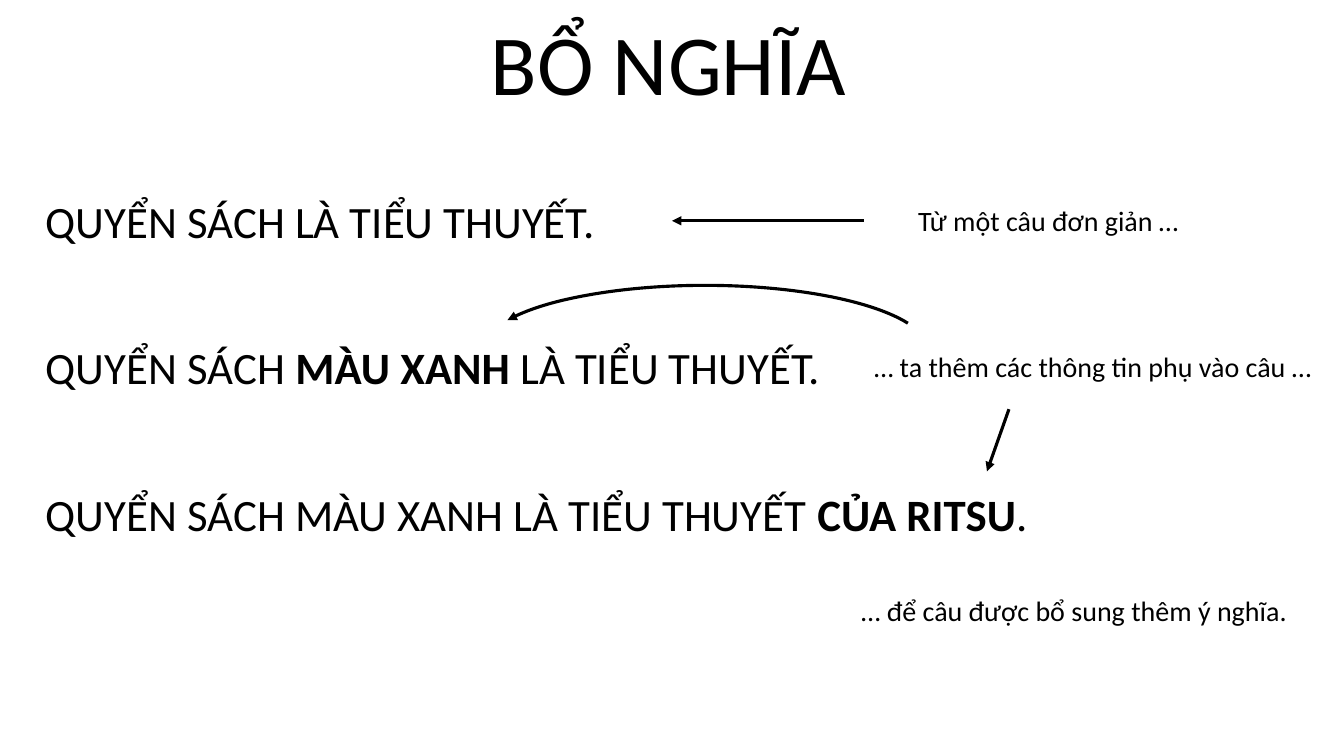
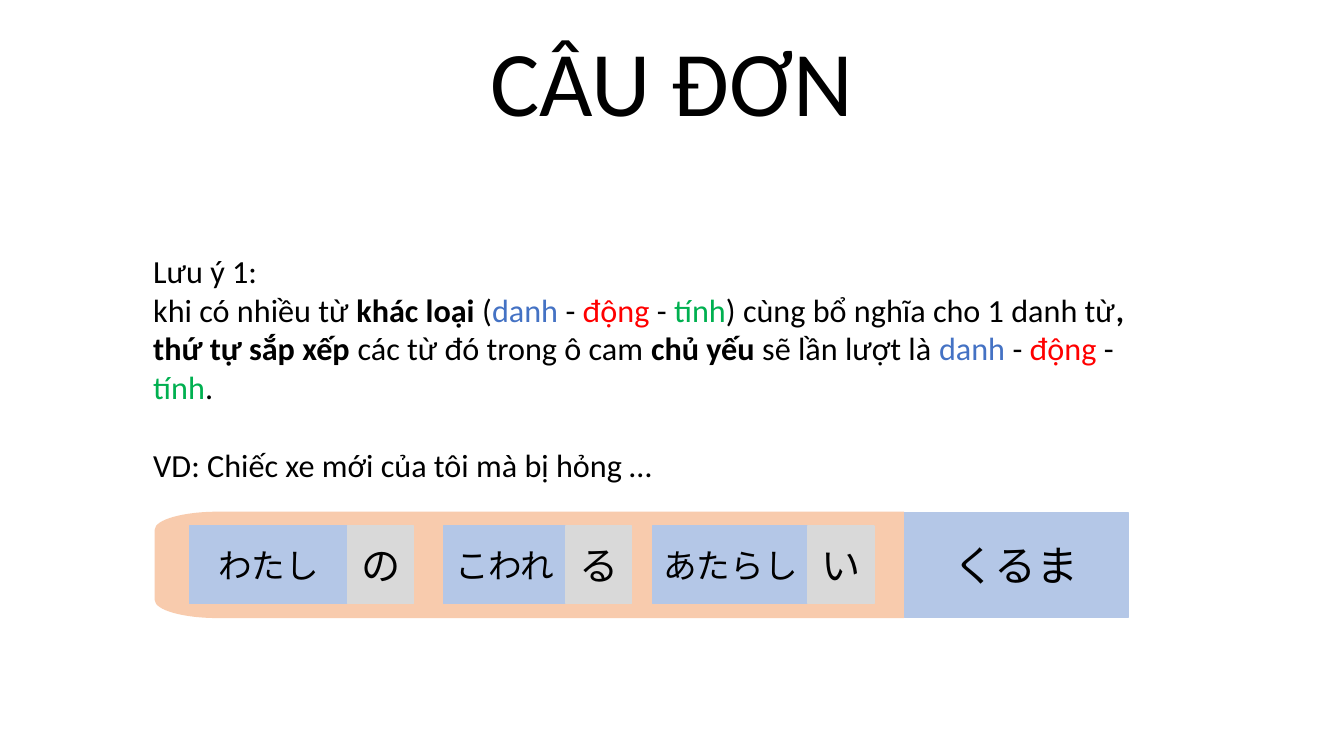
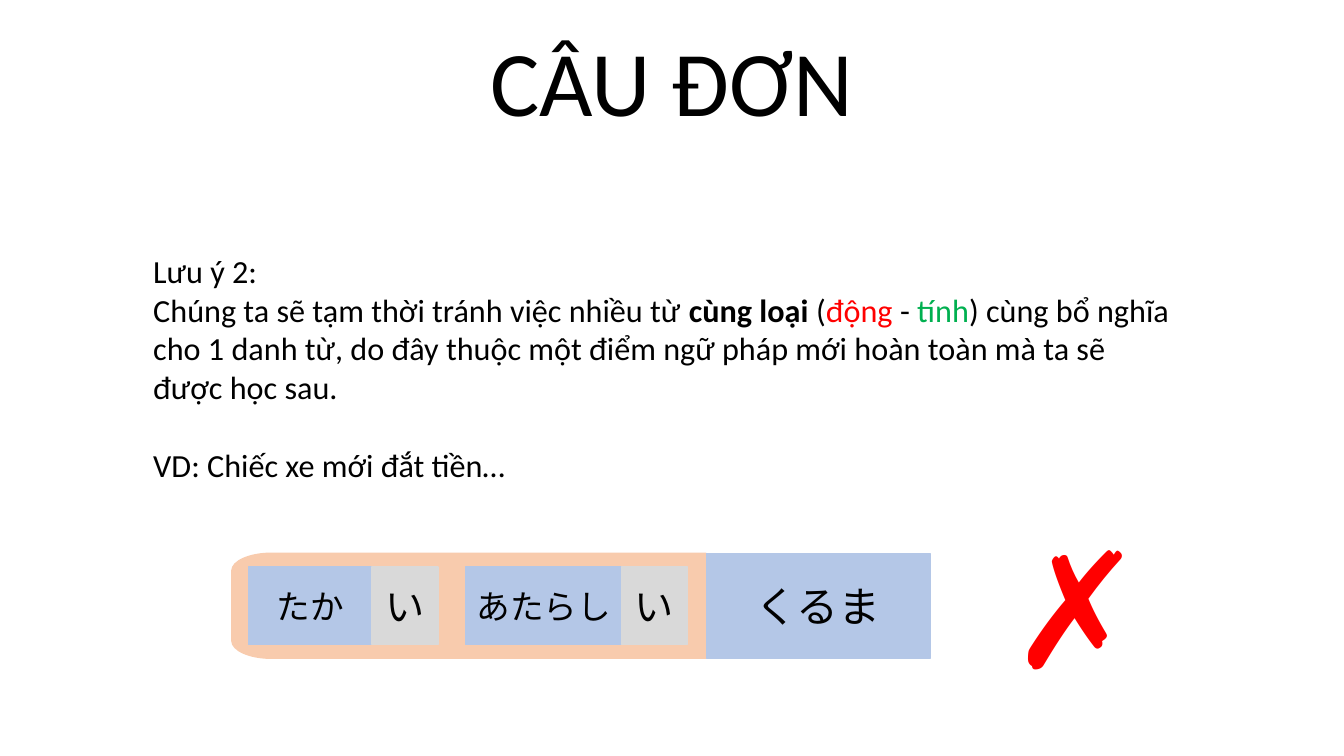
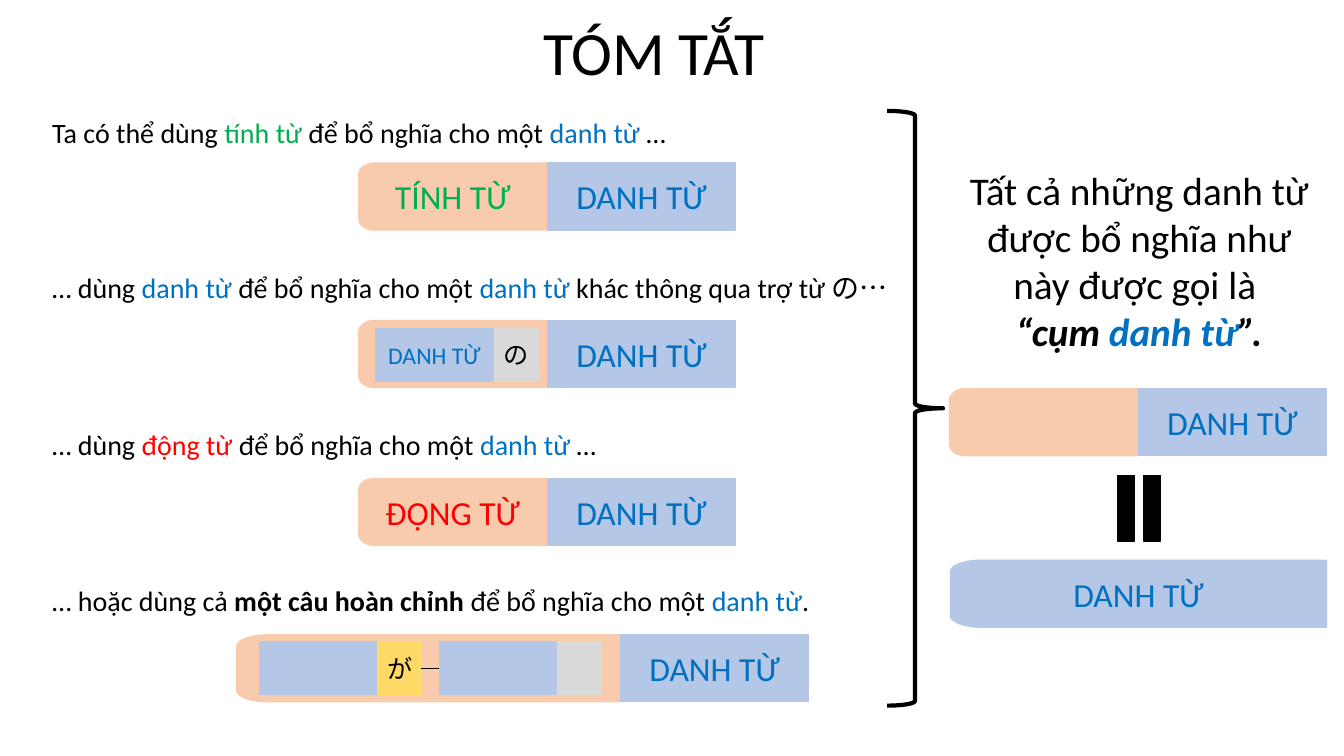
from lxml import etree
from pptx import Presentation
from pptx.dml.color import RGBColor
from pptx.enum.shapes import MSO_CONNECTOR, MSO_SHAPE
from pptx.enum.text import MSO_ANCHOR, PP_ALIGN
from pptx.oxml.ns import qn
from pptx.util import Pt

LEFT, CENTER = PP_ALIGN.LEFT, PP_ALIGN.CENTER
TOP, MIDDLE, BOTTOM = MSO_ANCHOR.TOP, MSO_ANCHOR.MIDDLE, MSO_ANCHOR.BOTTOM
RECT, ARC = MSO_SHAPE.RECTANGLE, MSO_SHAPE.ARC
BRACE, EQUAL = MSO_SHAPE.LEFT_BRACE, MSO_SHAPE.MATH_EQUAL
STRAIGHT = MSO_CONNECTOR.STRAIGHT
FONT = "Calibri"
FINE = 100  # outline units per point
BEND = 0.55  # pull of a curve towards its corner

COLORS = {
    "black": "000000", "noun": "0070C0", "blue": "4472C4", "verb": "FF0000",
    "adj": "00B050", "band": "F8CBAD", "stem": "B4C7E7", "end": "D9D9D9",
    "mark": "FFD966",
}

# Text is a list of paragraphs; a paragraph is a list of (words, style) runs.
# A style holds a colour name and, if wanted, "bold" or "italic".

# Slide 1
LINES = [
    [("QUYỂN SÁCH LÀ TIỂU THUYẾT.", "")],
    [("QUYỂN SÁCH ", ""), ("MÀU XANH ", "bold"), ("LÀ TIỂU THUYẾT.", "")],
    [("QUYỂN SÁCH MÀU XANH LÀ TIỂU THUYẾT ", ""), ("CỦA RITSU", "bold"),
     (".", "")],
]
HINTS = [
    (609.3, 142, 279, "Từ một câu đơn giản …"),
    (611.6, 246.4, 338, "… ta thêm các thông tin phụ vào câu …"),
    (598.3, 420.5, 338, "… để câu được bổ sung thêm ý nghĩa."),
]
ARROWS = [(617, 157.7, 480, 157.7), (720.7, 292.3, 705, 336.7)]

# Slides 2 and 3: words are (left, stem, stem width, ending)
ORDER = [("danh", "blue"), (" - ", ""), ("động", "verb"), (" - ", ""),
         ("tính", "adj")]
RULES = [
    {
        "text": [
            [("Lưu ý 1:", "")],
            [("khi có nhiều từ ", ""), ("khác loại ", "bold"), ("(", "")]
            + ORDER
            + [(") cùng bổ nghĩa cho 1 danh từ", ""),
               (", thứ tự sắp xếp ", "bold"), ("các từ đó trong ô cam ", ""),
               ("chủ yếu ", "bold"), ("sẽ lần lượt là ", "")]
            + ORDER + [(".", "")],
            [("VD: Chiếc xe mới của tôi mà bị hỏng …", "")],
        ],
        "band": (111, 366, 534.6),
        "words": [(135.4, "わたし", 113, "の"), (316.8, "こわれ", 87.5, "る"),
                  (466.3, "あたらし", 111, "い")],
        "wrong": False,
    },
    {
        "text": [
            [("Lưu ý 2:", "")],
            [("Chúng ta sẽ tạm thời tránh việc nhiều từ ", ""),
             ("cùng loại ", "bold"), ("(", "")] + ORDER[2:]
            + [(") cùng bổ nghĩa cho 1 danh từ, do đây thuộc một điểm ngữ "
                "pháp mới hoàn toàn mà ta sẽ được học sau.", "")],
            [("VD: Chiếc xe mới đắt tiền…", "")],
        ],
        "band": (165.6, 395.2, 338.6),
        "words": [(177.4, "たか", 88.4, "い"), (332.7, "あたらし", 111.3, "い")],
        "wrong": True,
    },
]

# Slide 4
FOR = ("để bổ nghĩa cho một ", "")
NOUN = ("danh từ ", "noun")
HEAD = ("DANH TỪ", "noun")
CASES = [  # text top, text, band left, band top, band width, band label
    (79.2, [("Ta có thể dùng ", ""), ("tính từ ", "adj"), FOR, NOUN, ("…", "")],
     256.2, 116.5, 134.5, ("TÍNH TỪ", "adj")),
    (189.4, [("… dùng ", ""), NOUN, FOR, NOUN,
             ("khác thông qua trợ từ の…", "")],
     256.2, 229, 134.5, None),
    (301.7, [("… dùng ", ""), ("động từ ", "verb"), FOR, NOUN, ("…", "")],
     256.2, 341.8, 134.5, ("ĐỘNG TỪ", "verb")),
    (413.3, [("… hoặc dùng cả ", ""), ("một câu hoàn chỉnh ", "bold"), FOR,
             ("danh từ", "noun"), (".", "")],
     169.2, 453.5, 273.7, None),
]
PARTS = [  # left, top, width, fill, label, size
    (268.6, 234.7, 83.5, "stem", HEAD, 17),
    (353.4, 234.7, 30.8, "end", ("の", ""), 18),
    (185.8, 458.7, 83.5, "stem", None, 0),
    (270, 458.7, 31, "mark", ("が", ""), 18),
    (313.9, 458.7, 83.5, "stem", None, 0),
    (398.2, 458.7, 31, "end", None, 0),
]
SUMMARY = [
    [("Tất cả những danh từ được bổ nghĩa như này được gọi là ", "")],
    [("“cụm ", "bold italic"), ("danh từ", "noun bold italic"),
     ("”.", "bold italic")],
]


def rgb(name):
    return RGBColor.from_string(COLORS[name])


def pts(*nums):
    return [Pt(n) for n in nums]


def write(shape, paras, size, align=LEFT, anchor=TOP):
    frame = shape.text_frame
    frame.word_wrap = True
    frame.vertical_anchor = anchor
    for i, runs in enumerate(paras):
        para = frame.add_paragraph() if i else frame.paragraphs[0]
        para.alignment = align
        for words, style in runs:
            run = para.add_run()
            run.text = words
            font = run.font
            font.name, font.size = FONT, Pt(size)
            marks = style.split()
            font.bold, font.italic = "bold" in marks, "italic" in marks
            tint = next((m for m in marks if m in COLORS), "black")
            font.color.rgb = rgb(tint)
    return frame


def label(slide, box, paras, size, align=LEFT, anchor=TOP):
    return write(slide.shapes.add_textbox(*pts(*box)), paras, size, align, anchor)


def title(slide, box, words, size, space=1.0, anchor=TOP):
    frame = label(slide, box, [[(words, "")]], size, CENTER, anchor)
    frame.paragraphs[0].line_spacing = space


def paint(shape, fill, text=None, size=24):
    """Fill and outline in one colour, with centred text if given."""
    shape.shadow.inherit = False
    shape.fill.solid()
    shape.fill.fore_color.rgb = shape.line.color.rgb = rgb(fill)
    shape.line.width = Pt(1)
    if text:
        frame = write(shape, [[text]], size, CENTER, MIDDLE)
        frame.margin_left = frame.margin_right = 0
    return shape


def block(slide, box, fill, text=None, size=24):
    return paint(slide.shapes.add_shape(RECT, *pts(*box)), fill, text, size)


def curve(line, start, corner, end):
    """Turn a straight outline step into a rounded one."""
    bend = etree.Element(qn("a:cubicBezTo"))
    pulls = [[p + BEND * (c - p) for p, c in zip(spot, corner)]
             for spot in (start, end)]
    for x, y in pulls + [end]:
        etree.SubElement(bend, qn("a:pt"), x=str(round(x)), y=str(round(y)))
    line.getparent().replace(line, bend)


def band(slide, box, fill, text=None):
    """Rectangle whose two left corners are elliptic."""
    x, y, w, h = [n * FINE for n in box]
    rx, ry = w / 12, h / 6
    form = slide.shapes.build_freeform(x + w, y, scale=Pt(1) / FINE)
    form.add_line_segments([(x + w, y + h), (x + rx, y + h), (x, y + h - ry),
                            (x, y + ry), (x + rx, y)])
    shape = form.convert_to_shape()
    steps = shape._element.findall(".//" + qn("a:lnTo"))
    curve(steps[2], (rx, h), (0, h), (0, h - ry))
    curve(steps[4], (0, ry), (0, 0), (rx, 0))
    return paint(shape, fill, text)


def pair(slide, box, wide, text, noun, size=24):
    """Orange band followed by the noun it modifies."""
    x, y, w, h = box
    band(slide, box, "band", text)
    block(slide, (x + w + 0.4, y, wide, h), "stem", noun, size)


def stroke(shape, width, tip=None):
    shape.line.color.rgb = rgb("black")
    shape.line.width = Pt(width)
    if tip:
        etree.SubElement(shape.line._get_or_add_ln(), qn("a:" + tip),
                         type="triangle")


def link(slide, ends, width, tip=None):
    line = slide.shapes.add_connector(STRAIGHT, *pts(*ends))
    stroke(line, width, tip)
    etree.SubElement(line._element.spPr, qn("a:effectLst"))
    return line


def hollow(slide, kind, box, width, tip=None):
    shape = slide.shapes.add_shape(kind, *pts(*box))
    shape.shadow.inherit = False
    shape.fill.background()
    stroke(shape, width, tip)
    return shape


def intro(slide):
    title(slide, (117.4, 14.3, 720, 69), "BỔ NGHĨA", 61, 0.8, BOTTOM)
    for i, runs in enumerate(LINES):
        label(slide, (25.5, 134.6 + 104.8 * i, 755, 46), [runs], 32)
    for x, y, w, words in HINTS:
        label(slide, (x, y, w, 31.5), [[(words, "")]], 20, CENTER)
    for ends in ARROWS:
        link(slide, ends, 2.25, "tailEnd")
    arc = hollow(slide, ARC, (343.4, 203.8, 320.4, 94.3), 2.25, "headEnd")
    for i, angle in enumerate((189, 352.1)):
        arc.adjustments[i] = angle * 0.6


def rule(slide, data):
    title(slide, (120, 23, 720, 90), "CÂU ĐƠN", 66, 0.9)
    frame = label(slide, (102.4, 176, 748, 202), data["text"], 23)
    frame.paragraphs[-1].space_before = Pt(28)
    x, y, w = data["band"]
    pair(slide, (x, y, w, 75), 159.8, None, ("くるま", ""), 30)
    for left, stem, wide, end in data["words"]:
        block(slide, (left, y + 9.8, wide, 55.4), "stem", (stem, ""))
        block(slide, (left + wide, y + 9.8, 47, 55.4), "end", (end, ""), 28)
    if data["wrong"]:
        label(slide, (713.9, 359.3, 99.4, 147), [[("✗", "verb")]], 115)


def recap(slide):
    title(slide, (277.2, 6.5, 380, 60.5), "TÓM TẮT", 44)
    for top, runs, x, y, w, text in CASES:
        label(slide, (30.2, top, 748, 80), [runs], 20)
        pair(slide, (x, y, w, 47.8), 134.3, text, HEAD)
    parts = [block(slide, (x, y, w, 37.4), fill, text, size)
             for x, y, w, fill, text, size in PARTS]
    dash = link(slide, (301, 477.4, 313.9, 477.4), 1)
    dash.begin_connect(parts[3], 3)
    dash.end_connect(parts[4], 1)

    hollow(slide, BRACE, (633.6, 79.2, 40, 424.8), 3).rotation = 180
    label(slide, (678, 115.2, 271.4, 143.3), SUMMARY, 28, CENTER)
    pair(slide, (678.2, 277.7, 134.5, 47.8), 134.3, None, HEAD)
    equal = slide.shapes.add_shape(EQUAL, *pts(781.8, 336.7, 63.4, 52.6))
    equal.rotation = 90
    paint(equal, "black")
    band(slide, (679, 400.2, 268.5, 47.8), "stem", HEAD)


def main():
    deck = Presentation()
    deck.slide_width, deck.slide_height = Pt(960), Pt(540)

    def blank():
        return deck.slides.add_slide(deck.slide_layouts[6])

    intro(blank())
    for data in RULES:
        rule(blank(), data)
    recap(blank())
    deck.save("out.pptx")


if __name__ == "__main__":
    main()
